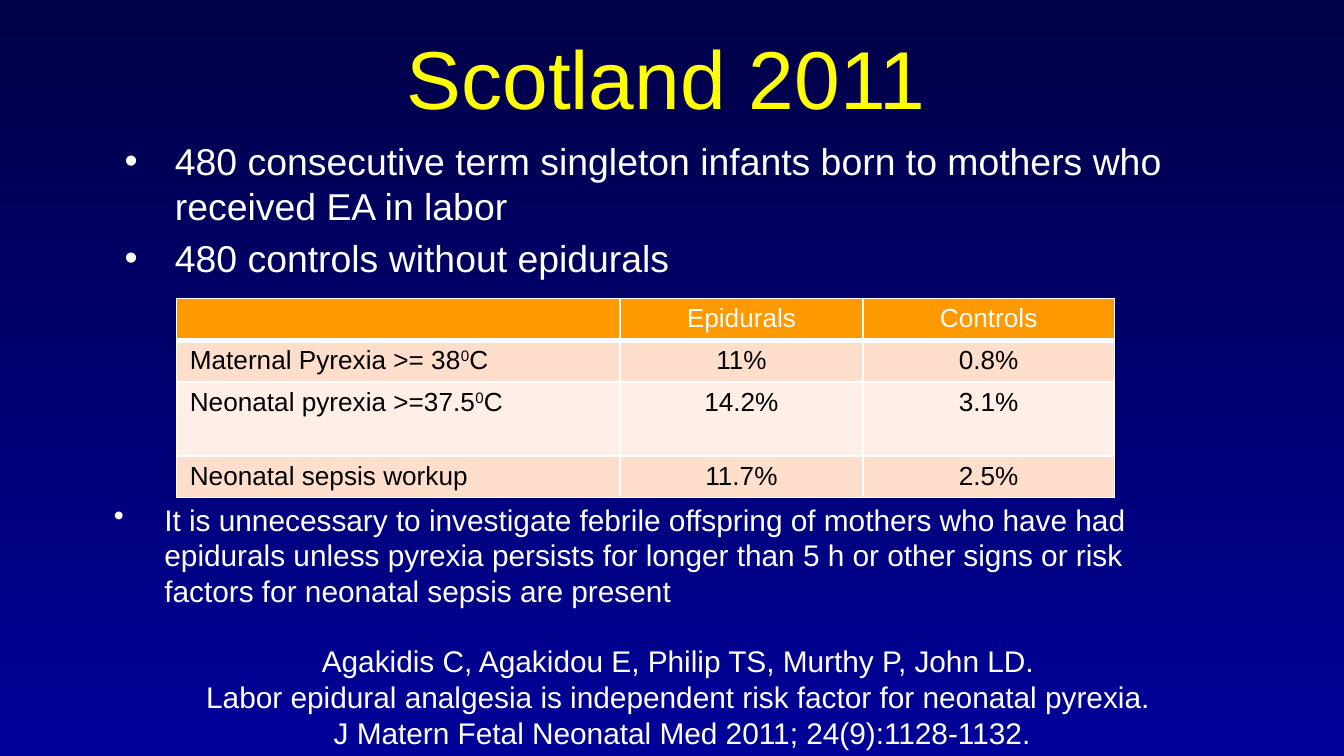
from lxml.etree import SubElement
from pptx import Presentation
from pptx.dml.color import RGBColor
from pptx.enum.text import MSO_ANCHOR, MSO_AUTO_SIZE, PP_ALIGN
from pptx.oxml.ns import qn
from pptx.util import Pt

COLORS = {
    "top": "000047", "bottom": "000099", "title": "FFFF00", "light": "FFFFFF",
    "dark": "000000", "header": "FF9900", "odd": "FFDECC", "even": "FFEFE7",
}
FONT = "Arial"
CRITERIA = [
    "480 consecutive term singleton infants born to mothers who received EA in labor",
    "480 controls without epidurals",
]
# A caret marks the superscript degree sign
RESULTS = [
    ["", "Epidurals", "Controls"],
    ["Maternal Pyrexia >= 38^0^C", "11%", "0.8%"],
    ["Neonatal pyrexia >=37.5^0^C", "14.2%", "3.1%"],
    ["Neonatal sepsis workup", "11.7%", "2.5%"],
]
COLUMN_WIDTHS = [237.6, 130.3, 134.6]
ROW_HEIGHTS = [22.3, 22.3, 39.6, 22.3]
CONCLUSION = [
    "It is unnecessary to investigate febrile offspring of mothers who have had "
    "epidurals unless pyrexia persists for longer than 5 h or other signs or risk "
    "factors for neonatal sepsis are present",
]
CITATION = [
    "Agakidis C, Agakidou E, Philip TS, Murthy P, John LD. ",
    "Labor epidural analgesia is independent risk factor for neonatal pyrexia. ",
    "J Matern Fetal Neonatal Med 2011; 24(9):1128-1132.",
]


def color(name):
    return RGBColor.from_string(COLORS[name])


def style(para, size, color_name, align=PP_ALIGN.LEFT):
    para.alignment = align
    para.font.name = FONT
    para.font.size = Pt(size)
    para.font.color.rgb = color(color_name)


def add_bullet(para):
    properties = para._p.get_or_add_pPr()
    properties.set("marL", str(Pt(27)))
    properties.set("indent", str(Pt(-27)))
    bullet = properties.makeelement(qn("a:buChar"), {"char": "•"})
    properties.insert_element_before(bullet, "a:tabLst", "a:defRPr", "a:extLst")


def place(shape, box):
    shape.left, shape.top, shape.width, shape.height = (Pt(value) for value in box)


def fill_paragraphs(frame, lines, size, align=PP_ALIGN.LEFT, bullets=False, before=0):
    frame.word_wrap = True
    for index, line in enumerate(lines):
        para = frame.add_paragraph() if index else frame.paragraphs[0]
        para.text = line
        style(para, size, "light", align)
        para.space_before = Pt(before)
        if bullets:
            add_bullet(para)


def paint_background(page):
    fill = page.background.fill
    fill.gradient()
    fill.gradient_angle = 270
    for stop, name in zip(fill.gradient_stops, ("top", "bottom")):
        stop.color.rgb = color(name)


def build_title(page, box):
    title = page.shapes.title
    place(title, box)
    title.text_frame.text = "Scotland 2011"
    title.text_frame.vertical_anchor = MSO_ANCHOR.MIDDLE
    style(title.text_frame.paragraphs[0], 44, "title", PP_ALIGN.CENTER)


def build_criteria(page, box):
    body = page.placeholders[1]
    place(body, box)
    body.text_frame.auto_size = MSO_AUTO_SIZE.NONE
    fill_paragraphs(body.text_frame, CRITERIA, 20, bullets=True, before=4)


def set_borders(cell, bottom):
    properties = cell._tc.get_or_add_tcPr()
    for side, width in (("lnL", 1), ("lnR", 1), ("lnT", 1), ("lnB", bottom)):
        line = SubElement(properties, qn(f"a:{side}"), w=str(Pt(width)))
        paint = SubElement(line, qn("a:solidFill"))
        SubElement(paint, qn("a:srgbClr"), val=COLORS["light"])


def fill_cell(cell, text, row, column):
    cell.margin_top = cell.margin_bottom = Pt(3 if text else 0)
    set_borders(cell, 1 if row else 3)
    cell.fill.solid()
    band = "header" if row == 0 else ("odd" if row % 2 else "even")
    cell.fill.fore_color.rgb = color(band)
    para = cell.text_frame.paragraphs[0]
    style(para, 14, "dark" if row else "light",
          PP_ALIGN.CENTER if column else PP_ALIGN.LEFT)
    if not text:
        return
    for index, part in enumerate(text.split("^")):
        span = para.add_run()
        span.text = part
        if index % 2:
            span.font._element.set("baseline", "30000")


def build_results(page, box):
    left, top, width, height = (Pt(value) for value in box)
    table = page.shapes.add_table(
        len(RESULTS), len(COLUMN_WIDTHS), left, top, width, height).table
    table.first_row = table.horz_banding = False
    for column, points in zip(table.columns, COLUMN_WIDTHS):
        column.width = Pt(points)
    for row, points in zip(table.rows, ROW_HEIGHTS):
        row.height = Pt(points)
    for row, texts in enumerate(RESULTS):
        for column, text in enumerate(texts):
            fill_cell(table.cell(row, column), text, row, column)


def build_note(page, box, lines, align=PP_ALIGN.LEFT, bullets=False):
    note = page.shapes.add_textbox(*(Pt(value) for value in box))
    note.text_frame.auto_size = MSO_AUTO_SIZE.SHAPE_TO_FIT_TEXT
    fill_paragraphs(note.text_frame, lines, 16, align, bullets)


def main():
    deck = Presentation()
    deck.slide_width, deck.slide_height = Pt(720), Pt(405)
    page = deck.slides.add_slide(deck.slide_layouts[1])
    paint_background(page)
    build_title(page, (51, 7, 612, 68))
    build_criteria(page, (59.5, 70.5, 612, 93.5))
    build_results(page, (94.5, 160, sum(COLUMN_WIDTHS), sum(ROW_HEIGHTS)))
    build_note(page, (54, 265, 575.5, 65.5), CONCLUSION, bullets=True)
    build_note(page, (81, 340.75, 569, 65.5), CITATION, PP_ALIGN.CENTER)
    deck.save("out.pptx")


if __name__ == "__main__":
    main()
